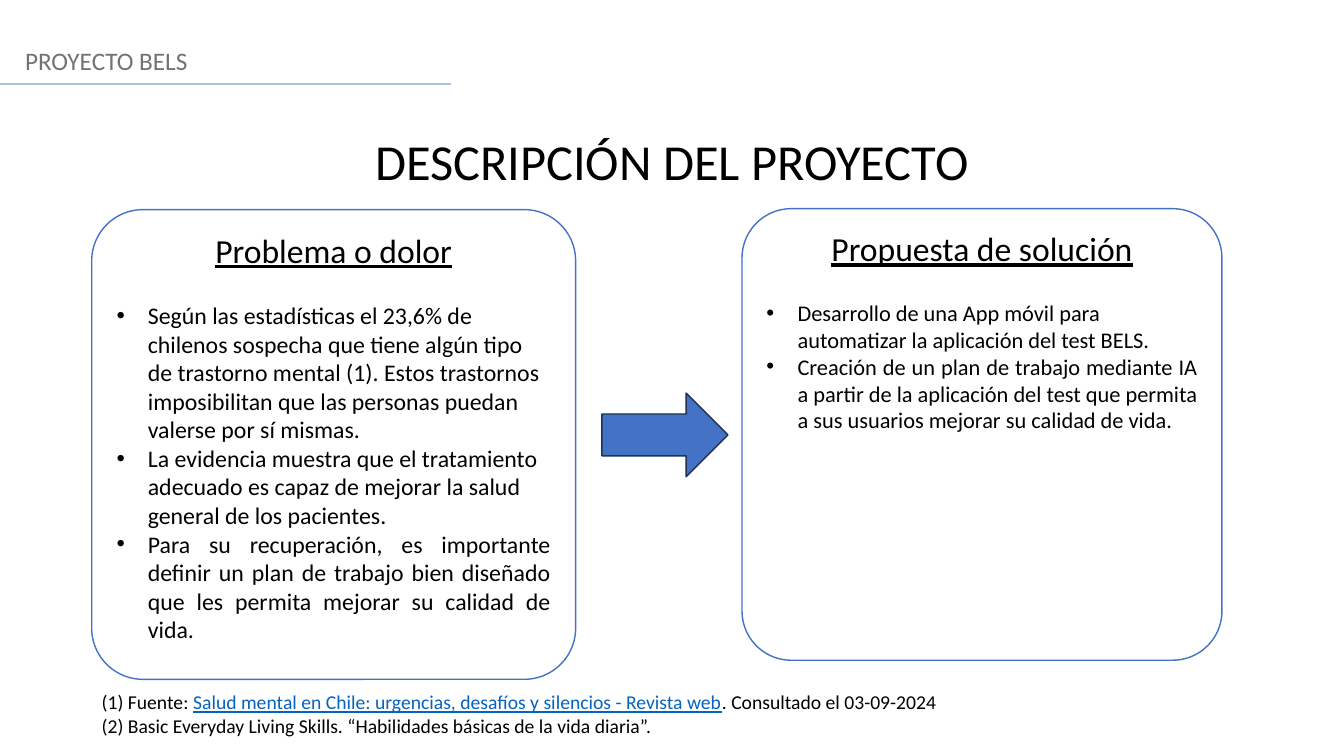
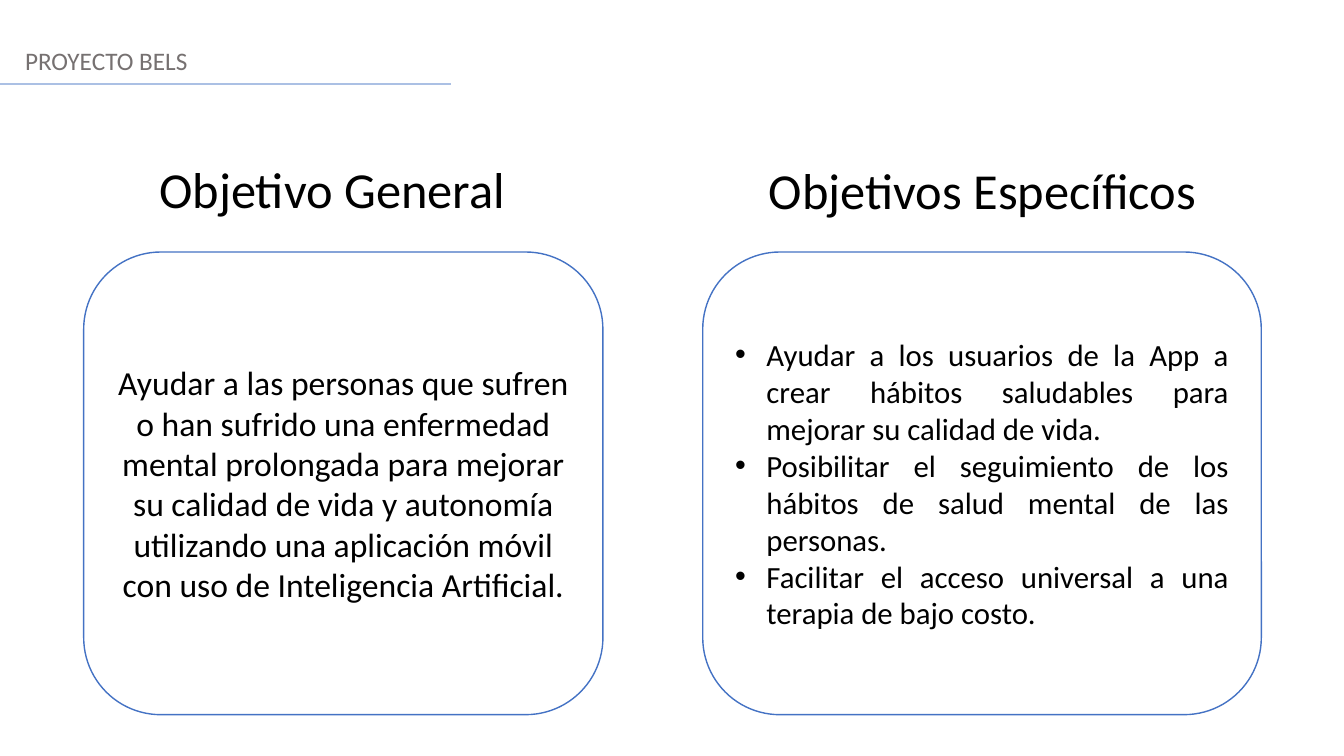
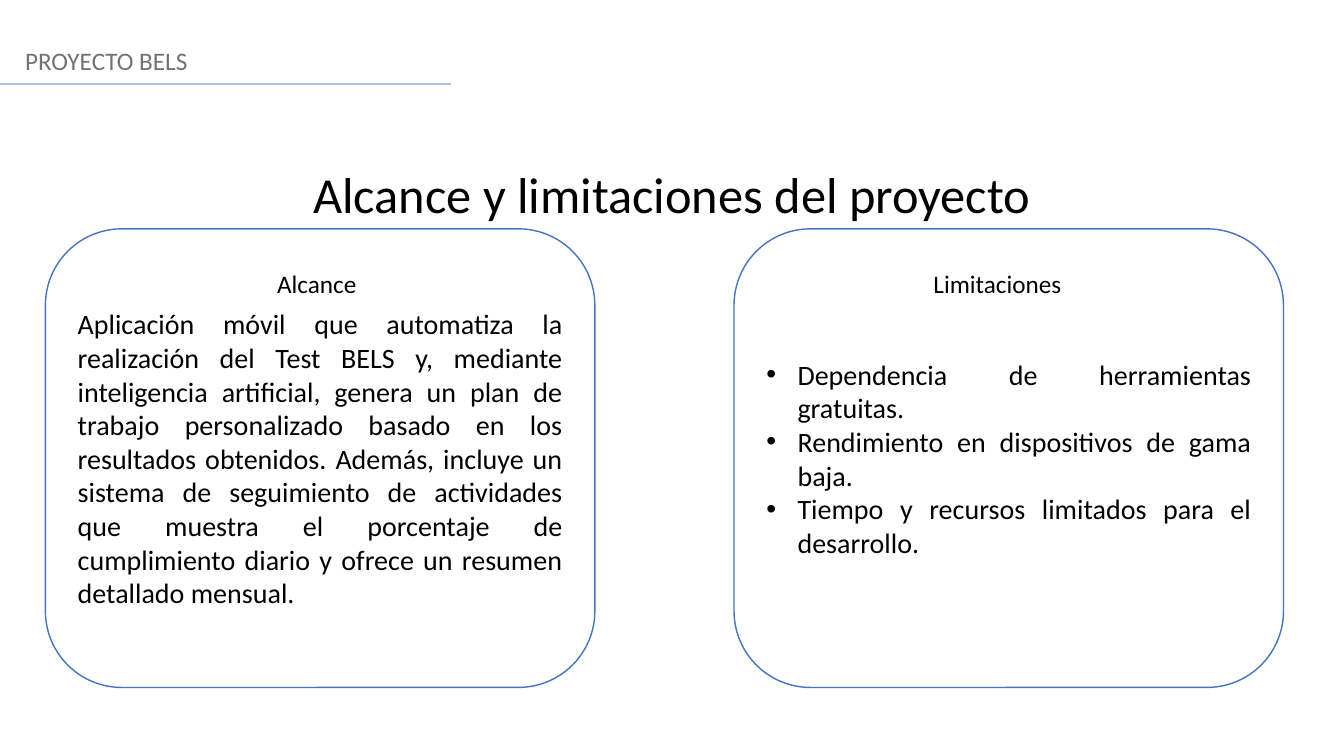
from lxml.etree import SubElement
from pptx import Presentation
from pptx.dml.color import RGBColor
from pptx.enum.shapes import MSO_CONNECTOR as Conn, MSO_SHAPE as Shp
from pptx.enum.text import MSO_ANCHOR as Anchor, MSO_AUTO_SIZE as Auto, PP_ALIGN as Align
from pptx.oxml.ns import qn
from pptx.util import Inches, Pt

WIDE, HIGH = 13.33, 7.5
FONT = "Calibri"
BLACK = RGBColor(0, 0, 0)
WHITE = RGBColor(0xFF, 0xFF, 0xFF)
GREY = RGBColor(0x76, 0x71, 0x71)
BLUE = RGBColor(0x44, 0x72, 0xC4)
NAVY = RGBColor(0x1E, 0x32, 0x56)
PALE = RGBColor(0xAB, 0xC0, 0xE4)
LINK = RGBColor(0x05, 0x63, 0xC1)
LEFT, MID, JUST = Align.LEFT, Align.CENTER, Align.JUSTIFY

HEAD = "PROYECTO BELS"
SOURCES = [
    ["(1) Fuente: ",
     ("Salud mental en Chile: urgencias, desafíos y silencios - Revista web", LINK),
     ". Consultado el 03-09-2024"],
    "(2) Basic Everyday Living Skills. “Habilidades básicas de la vida diaria”.",
]

# Card text: (text, alignment); titles and labels: (text, box)
SLIDES = [
    dict(
        title=("DESCRIPCIÓN DEL PROYECTO", (0, 1.24, WIDE, 0.71)),
        cards=[
            dict(box=(0.91, 2.08, 4.8, 4.66), round=0.109, size=17, bullet=True,
                 head="Problema o dolor", items=[
                ("Según las estadísticas el 23,6% de chilenos sospecha que tiene algún "
                 "tipo de trastorno mental (1). Estos trastornos imposibilitan que las "
                 "personas puedan valerse por sí mismas.", LEFT),
                ("La evidencia muestra que el tratamiento adecuado es capaz de mejorar "
                 "la salud general de los pacientes.", LEFT),
                ("Para su recuperación, es importante definir un plan de trabajo bien "
                 "diseñado que les permita mejorar su calidad de vida.", JUST)]),
            dict(box=(7.36, 2.07, 4.76, 4.48), round=0.109, size=16, bullet=True,
                 head="Propuesta de solución", items=[
                ("Desarrollo de una App móvil para automatizar la aplicación del "
                 "test BELS.", LEFT),
                ("Creación de un plan de trabajo mediante IA a partir de la aplicación "
                 "del test que permita a sus usuarios mejorar su calidad de vida.", JUST)]),
        ],
        arrow=(5.97, 3.9, 1.25, 0.83),
        notes=(SOURCES, (0.91, 6.8, 11.83, 0.57)),
    ),
    dict(
        title=("Objetivo General", (1.18, 1.52, 4.23, 0.71)),
        second=("Objetivos Específicos", (7.51, 1.53, 4.47, 0.71)),
        cards=[
            dict(box=(0.83, 2.5, 5.15, 4.59), size=24, items=[
                ("Ayudar a las personas que sufren o han sufrido una enfermedad mental "
                 "prolongada para mejorar su calidad de vida y autonomía utilizando una "
                 "aplicación móvil con uso de Inteligencia Artificial.", MID)]),
            dict(box=(6.97, 2.5, 5.54, 4.59), size=22, bullet=True, items=[
                ("Ayudar a los usuarios de la App a crear hábitos saludables para "
                 "mejorar su calidad de vida.", JUST),
                ("Posibilitar el seguimiento de los hábitos de salud mental de las "
                 "personas.", JUST),
                ("Facilitar el acceso universal a una terapia de bajo costo.", JUST)]),
        ],
    ),
    dict(
        title=("Alcance y limitaciones del proyecto", (0, 1.57, WIDE, 0.71)),
        cards=[
            dict(box=(0.45, 2.27, 5.45, 4.55), size=20, items=[
                ("Aplicación móvil que automatiza la realización del Test BELS y, "
                 "mediante inteligencia artificial, genera un plan de trabajo "
                 "personalizado basado en los resultados obtenidos. Además, incluye un "
                 "sistema de seguimiento de actividades que muestra el porcentaje de "
                 "cumplimiento diario y ofrece un resumen detallado mensual.", JUST)]),
            dict(box=(7.28, 2.27, 5.45, 4.55), size=20, bullet=True, items=[
                ("Dependencia de herramientas gratuitas.", JUST),
                ("Rendimiento en dispositivos de gama baja.", JUST),
                ("Tiempo y recursos limitados para el desarrollo.", JUST)]),
        ],
        labels=[("Alcance", (2.65, 2.61, 1.04, 0.4)),
                ("Limitaciones", (9.16, 2.61, 1.68, 0.4))],
    ),
]


def inch(box):
    return [Inches(v) for v in box]


def write(frame, text, size=18, color=BLACK, align=LEFT, line=False, bullet=False,
          after=0, more=False):
    """Fill the first paragraph, or add one; text may be a list of runs."""
    para = frame.add_paragraph() if more else frame.paragraphs[0]
    para.alignment = align
    para.space_before, para.space_after = Pt(0), Pt(after)
    for part in [text] if isinstance(text, str) else text:
        words, ink = (part, color) if isinstance(part, str) else part
        run = para.add_run()
        run.text = words
        font = run.font
        font.name, font.size, font.color.rgb = FONT, Pt(size), ink
        font.underline = line or ink == LINK
    if bullet:
        props = para._p.get_or_add_pPr()
        props.set("marL", str(Inches(0.31)))
        props.set("indent", str(Inches(-0.31)))
        SubElement(props, qn("a:buFont")).set("typeface", "Arial")
        SubElement(props, qn("a:buChar")).set("char", "•")


def label(slide, text, box, **style):
    frame = slide.shapes.add_textbox(*inch(box)).text_frame
    frame.word_wrap = True
    write(frame, text, **style)
    return frame


def shape(slide, kind, box, fill, edge):
    item = slide.shapes.add_shape(kind, *inch(box))
    item.shadow.inherit = False
    item.fill.solid()
    item.fill.fore_color.rgb = fill
    item.line.color.rgb, item.line.width = edge, Pt(1)
    return item


def card(slide, box, items, size, head=None, bullet=False, round=None):
    item = shape(slide, Shp.ROUNDED_RECTANGLE, box, WHITE, BLUE)
    if round:
        item.adjustments[0] = round
    frame = item.text_frame
    frame.word_wrap = True
    frame.vertical_anchor = Anchor.TOP if head else Anchor.MIDDLE
    if head:
        write(frame, head, size=24, align=MID, line=True, after=22)
    for i, (text, align) in enumerate(items):
        write(frame, text, size=size, align=align, bullet=bullet, more=bool(head or i))


def title(slide, text, box):
    item = slide.shapes.title
    item.left, item.top, item.width, item.height = inch(box)
    frame = item.text_frame
    frame.auto_size, frame.vertical_anchor = Auto.NONE, Anchor.TOP
    write(frame, text, size=36, align=MID)


def band(slide):
    label(slide, HEAD, (0.15, 0.4, WIDE, 0.4), color=GREY)
    rule = slide.shapes.add_connector(Conn.STRAIGHT, *inch((0, 0.83, 4.47, 0.83)))
    rule.line.color.rgb, rule.line.width = PALE, Pt(1.25)
    SubElement(rule._element.spPr, qn("a:effectLst"))


def main():
    deck = Presentation()
    deck.slide_width, deck.slide_height = Inches(WIDE), Inches(HIGH)
    for data in SLIDES:
        slide = deck.slides.add_slide(deck.slide_layouts[5])
        band(slide)
        title(slide, *data["title"])
        for item in data["cards"]:
            card(slide, **item)
        if "second" in data:
            label(slide, *data["second"], size=36, align=MID)
        if "arrow" in data:
            shape(slide, Shp.RIGHT_ARROW, data["arrow"], BLUE, NAVY)
        for text, box in data.get("labels", []):
            label(slide, text, box)
        if "notes" in data:
            (first, *rest), box = data["notes"]
            frame = label(slide, first, box, size=14)
            for text in rest:
                write(frame, text, size=14, more=True)
    deck.save("out.pptx")


if __name__ == "__main__":
    main()
